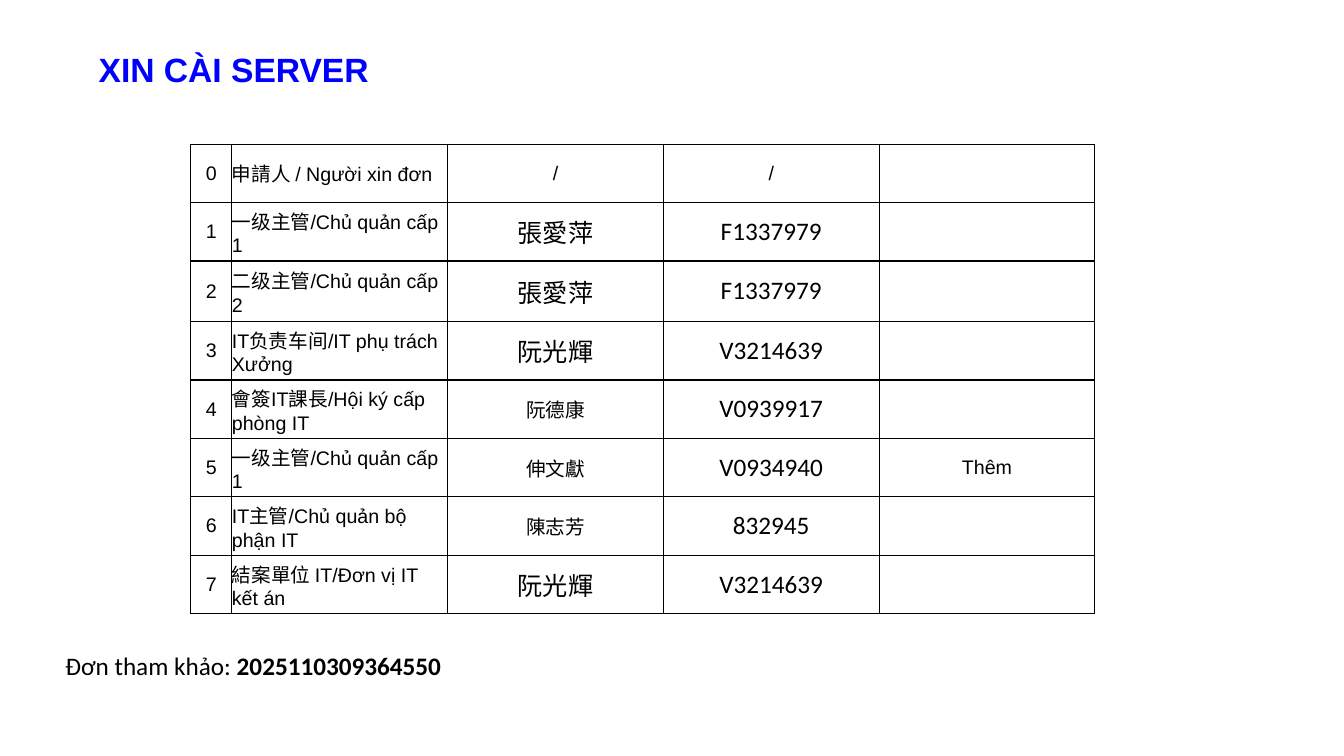
from pptx import Presentation
from pptx import util as u
from pptx.dml.color import RGBColor
from pptx.enum import text
from pptx.oxml import parse_xml
from pptx.oxml.ns import nsdecls

PX = 9144  # 100 px to the inch
HUES = {"title": "0000FF", "ink": "000000"}
SMALL = ("Arial", 14)
LARGE = ("Calibri", 18)

# Step label, name, name font, staff code, code font, remark
STEPS = [
    ("申請人 / Người xin đơn", "/", SMALL, "/", SMALL, ""),
    ("一级主管/Chủ quản cấp 1", "張愛萍", LARGE, "F1337979", LARGE, ""),
    ("二级主管/Chủ quản cấp 2", "張愛萍", LARGE, "F1337979", LARGE, ""),
    ("IT负责车间/IT phụ trách Xưởng", "阮光輝", LARGE, "V3214639", LARGE, ""),
    ("會簽IT課長/Hội ký cấp phòng IT", "阮德康", SMALL, "V0939917", LARGE, ""),
    ("一级主管/Chủ quản cấp 1", "伸文獻", SMALL, "V0934940", LARGE, "Thêm"),
    ("IT主管/Chủ quản bộ phận IT", "陳志芳", SMALL, "832945", LARGE, ""),
    ("結案單位 IT/Đơn vị IT kết án", "阮光輝", LARGE, "V3214639", LARGE, ""),
]
COLS = [41] + [214] * 4
ROWS = [58, 58, 60] + [58] * 5


def px(*nums):
    return [u.Emu(n * PX) for n in nums]


def style(font, face, size, hue="ink", bold=None):
    font.name, font.size, font.bold = face, u.Pt(size), bold
    font.color.rgb = RGBColor.from_string(HUES[hue])


def add_text(slide, box, runs, wrap=True):
    """Add a one-line text box; runs are (words, bold) pairs."""
    frame = slide.shapes.add_textbox(*px(*box)).text_frame
    frame.word_wrap = wrap
    frame.auto_size = text.MSO_AUTO_SIZE.SHAPE_TO_FIT_TEXT
    para = frame.paragraphs[0]
    for words, bold in runs:
        run = para.add_run()
        run.text = words
        if bold:
            run.font.bold = True
    return para


def set_edges(cell):
    props = cell._tc.get_or_add_tcPr()
    for num, side in enumerate(("lnL", "lnR", "lnT", "lnB")):
        props.insert(num, parse_xml(
            f'<a:{side} {nsdecls("a")} w="12700"><a:solidFill>'
            f'<a:srgbClr val="{HUES["ink"]}"/></a:solidFill></a:{side}>'))


def fill_cell(cell, words, face, align):
    cell.fill.background()
    cell.margin_left = cell.margin_right = 0
    cell.margin_top = cell.margin_bottom = 0
    cell.vertical_anchor = text.MSO_ANCHOR.MIDDLE
    set_edges(cell)
    cell.text = words
    para = cell.text_frame.paragraphs[0]
    para.alignment = align
    style(para.font, *face)


def add_steps(slide, left, top):
    box = px(left, top, sum(COLS), sum(ROWS))
    table = slide.shapes.add_table(len(ROWS), len(COLS), *box).table
    table.first_row = table.horz_banding = False
    for col, wide in zip(table.columns, COLS):
        col.width = u.Emu(wide * PX)
    for row, high in zip(table.rows, ROWS):
        row.height = u.Emu(high * PX)
    mid, start = text.PP_ALIGN.CENTER, text.PP_ALIGN.LEFT
    for num, (label, name, name_face, code, code_face, note) in enumerate(STEPS):
        items = [(str(num), SMALL, mid), (label, SMALL, start),
                 (name, name_face, mid), (code, code_face, mid),
                 (note, SMALL, mid)]
        for col, item in enumerate(items):
            fill_cell(table.cell(num, col), *item)


def main():
    deck = Presentation()
    deck.slide_width, deck.slide_height = px(1333, 750)
    slide = deck.slides.add_slide(deck.slide_layouts[6])

    # Title
    title = add_text(slide, (88, 44, 1035, 50), [("XIN CÀI SERVER", False)])
    style(title.font, "Arial", 24, "title", True)

    # Approval steps
    add_steps(slide, 189, 143)

    # Reference number
    ref = add_text(slide, (55, 640, 398, 40),
                   [("Đơn tham khảo: ", False), ("2025110309364550", True)],
                   wrap=False)
    style(ref.font, "Calibri", 18)

    deck.save("out.pptx")


if __name__ == "__main__":
    main()
